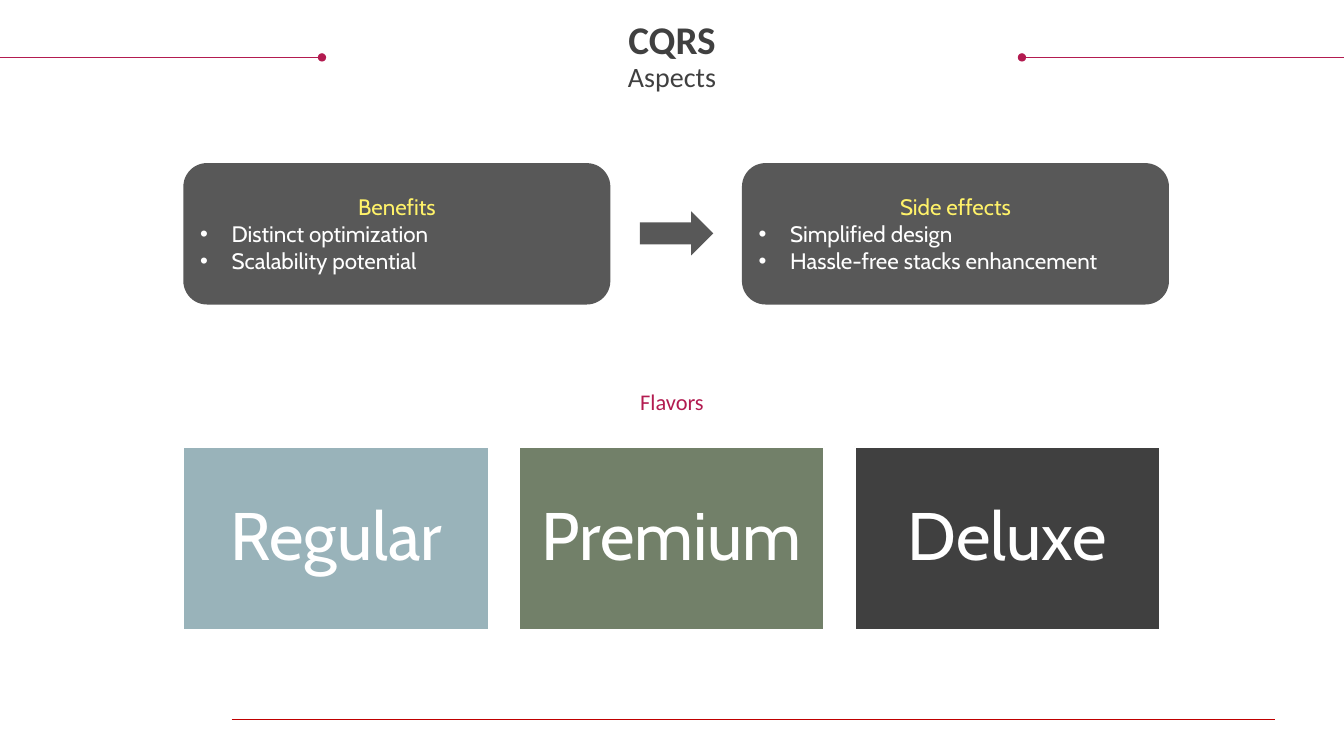
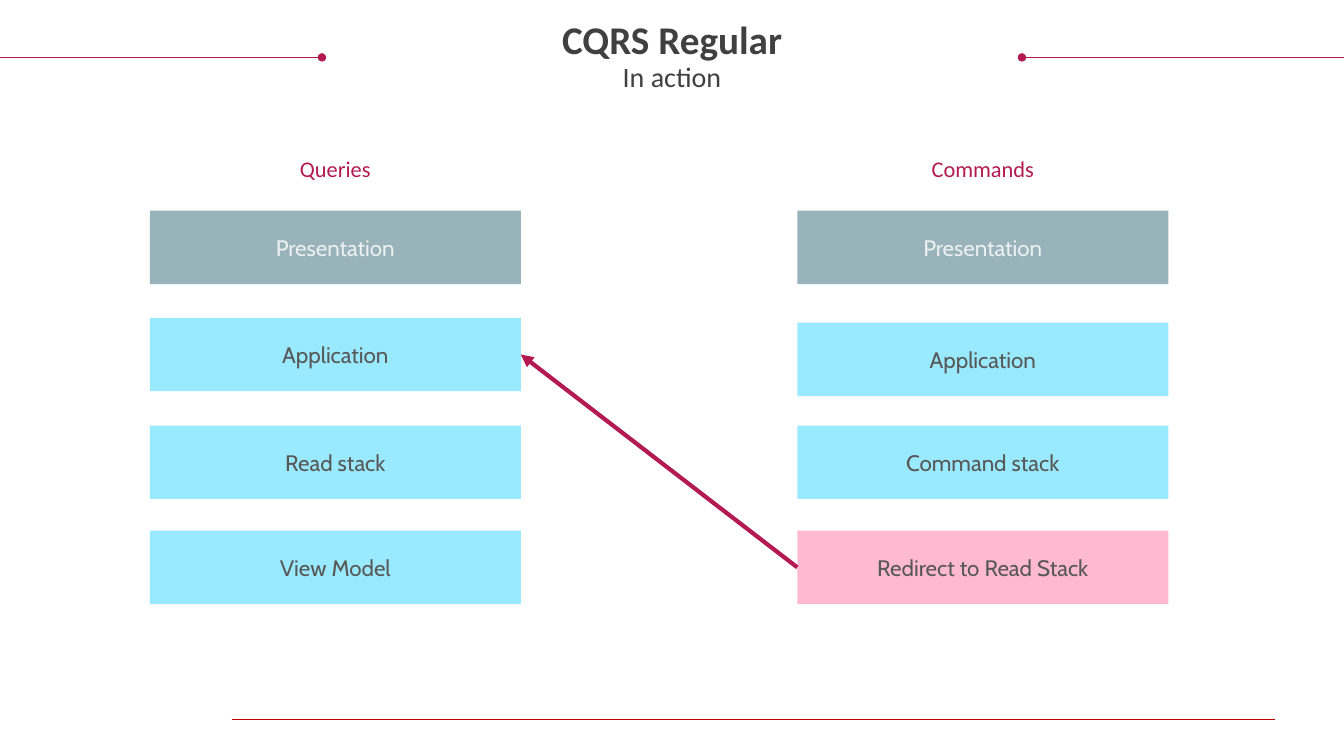
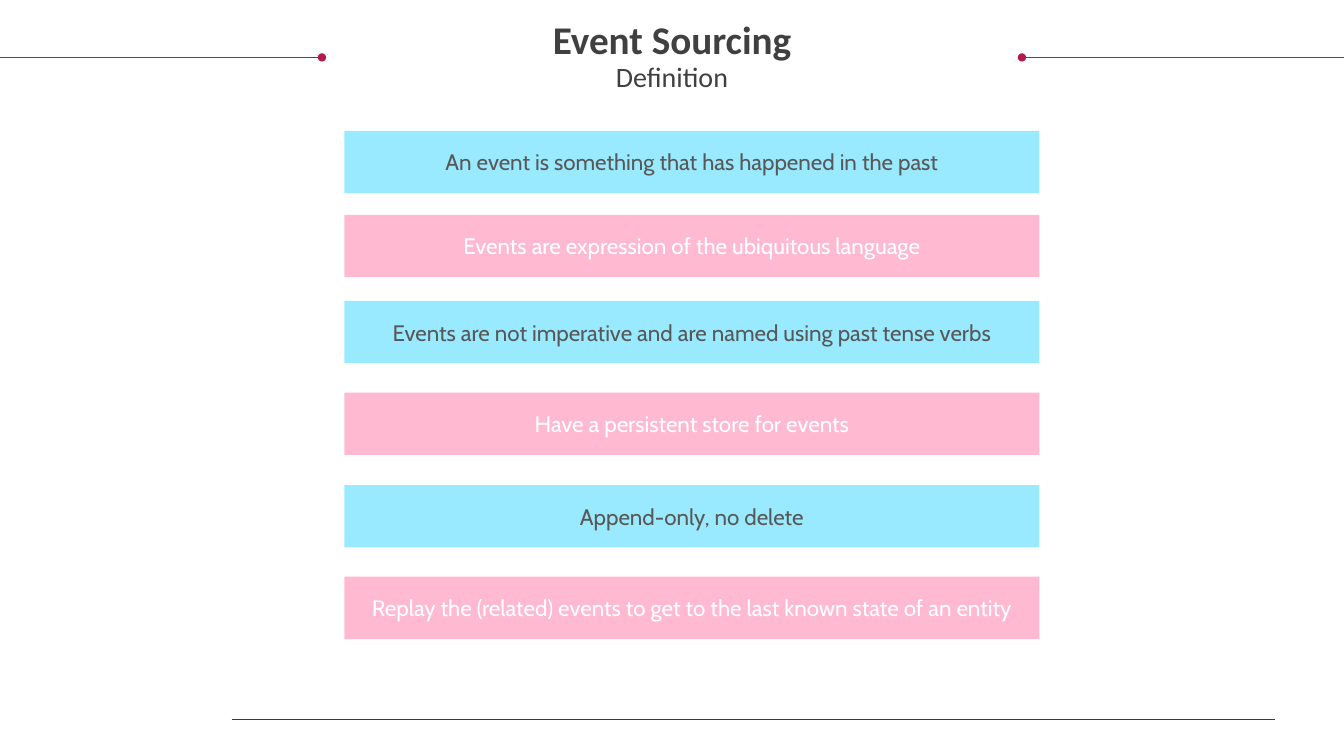
from dataclasses import dataclass

from lxml import etree
from pptx import Presentation
from pptx import util as u
from pptx.dml.color import RGBColor
from pptx.enum import shapes, text
from pptx.oxml import ns

Pt = u.Pt
SHAPE = shapes.MSO_SHAPE
CENTER = text.PP_ALIGN.CENTER
LEFT = text.PP_ALIGN.LEFT


@dataclass(frozen=True)
class Theme:
    heading_font: str = "Calibri"
    body_font: str = "Cabin"
    title_size: int = 28
    subtitle_size: int = 20
    body_size: int = 16
    card_size: int = 48
    accent: str = "B31B50"
    footer: str = "C00000"
    dark: str = "404040"
    gray: str = "585858"
    white: str = "FFFFFF"
    pale: str = "EBF0F1"
    yellow: str = "FFF269"
    slate: str = "99B3BA"
    olive: str = "728069"
    cyan: str = "99EAFF"
    pink: str = "FFB9D1"


THEME = Theme()


class Deck:
    """Holds the theme, the presentation and the slide being drawn."""

    def __init__(self, theme):
        self.theme = theme
        self.presentation = Presentation()
        self.presentation.slide_width = Pt(960)
        self.presentation.slide_height = Pt(540)
        self.slide = None

    def new_slide(self, title, subtitle):
        """Add a slide with the shared title, side rules and footer rule."""
        theme = self.theme
        self.slide = self.presentation.slides.add_slide(self.presentation.slide_layouts[6])
        self.line((165.5, 514), (911, 514), theme.footer)
        self.line((730, 41), (960, 41), theme.accent, head="oval")
        self.line((0, 41), (230, 41), theme.accent, tail="oval")
        paragraph = self.text_box(18, 15, 924, 52.5, f"{title}\v{subtitle}")
        paragraph.line_spacing = 0.9
        title_run, subtitle_run = paragraph.runs
        self.style(title_run, theme.heading_font, theme.title_size, theme.dark, bold=True)
        self.style(subtitle_run, theme.heading_font, theme.subtitle_size, theme.dark)

    def style(self, run, font, size, color, bold=False):
        run.font.name = font
        run.font.size = Pt(size)
        run.font.bold = bold
        run.font.color.rgb = RGBColor.from_string(color)

    def text_box(self, left, top, width, height, content):
        """Add a centred text box without margins and return its paragraph."""
        box = self.slide.shapes.add_textbox(Pt(left), Pt(top), Pt(width), Pt(height))
        frame = box.text_frame
        frame.text = content
        frame.word_wrap = True
        frame.margin_left = frame.margin_right = frame.margin_top = frame.margin_bottom = 0
        paragraph = frame.paragraphs[0]
        paragraph.alignment = CENTER
        return paragraph

    def heading(self, center, top, content):
        width = 120
        paragraph = self.text_box(center - width / 2, top, width, 19.5, content)
        self.style(paragraph.runs[0], self.theme.heading_font, self.theme.body_size,
                   self.theme.accent)

    def line(self, start, end, color, width=1, head=None, tail=None):
        connector = self.slide.shapes.add_connector(
            shapes.MSO_CONNECTOR.STRAIGHT, *(Pt(value) for value in (*start, *end)))
        connector.line.color.rgb = RGBColor.from_string(color)
        connector.line.width = Pt(width)
        outline = connector.line._get_or_add_ln()
        for tag, kind in (("a:headEnd", head), ("a:tailEnd", tail)):
            if kind:
                etree.SubElement(outline, ns.qn(tag), type=kind)
        etree.SubElement(connector.element.spPr, ns.qn("a:effectLst"))
        return connector

    def shape(self, kind, left, top, width, height, fill):
        shape = self.slide.shapes.add_shape(kind, Pt(left), Pt(top), Pt(width), Pt(height))
        shape.shadow.inherit = False
        shape.fill.solid()
        shape.fill.fore_color.rgb = RGBColor.from_string(fill)
        shape.line.fill.background()
        return shape

    def box(self, left, top, width, height, content, fill, color, size=None):
        """Add a rectangle with one centred line of text."""
        shape = self.shape(SHAPE.RECTANGLE, left, top, width, height, fill)
        shape.text_frame.text = content
        paragraph = shape.text_frame.paragraphs[0]
        paragraph.alignment = CENTER
        self.style(paragraph.runs[0], self.theme.body_font, size or self.theme.body_size, color)
        return shape

    def card(self, left, top, width, height, content, fill):
        """Add a white-edged box with large text."""
        shape = self.box(left, top, width, height, content, fill, self.theme.white,
                         self.theme.card_size)
        shape.line.color.rgb = RGBColor.from_string(self.theme.white)
        shape.line.width = Pt(1.5)
        frame = shape.text_frame
        frame.margin_left = frame.margin_right = Pt(14)
        frame.paragraphs[0].line_spacing = 0.9

    def list_panel(self, left, top, width, height, title, items):
        """Add a rounded panel with a centred title above bullets."""
        theme = self.theme
        shape = self.shape(SHAPE.ROUNDED_RECTANGLE, left, top, width, height, theme.gray)
        shape.text_frame.text = "\n".join([title, *items])
        for index, paragraph in enumerate(shape.text_frame.paragraphs):
            is_title = index == 0
            paragraph.alignment = CENTER if is_title else LEFT
            self.style(paragraph.runs[0], theme.body_font, theme.body_size,
                       theme.yellow if is_title else theme.white)
            if not is_title:
                self.bullet(paragraph)

    def bullet(self, paragraph):
        indent = Pt(22.5)
        properties = paragraph._p.get_or_add_pPr()
        properties.set("marL", str(indent))
        properties.set("indent", str(-indent))
        etree.SubElement(properties, ns.qn("a:buFont"), typeface="Arial")
        etree.SubElement(properties, ns.qn("a:buChar"), char="•")


def draw_aspects(deck):
    theme = deck.theme
    deck.new_slide("CQRS", "Aspects")
    deck.shape(SHAPE.RIGHT_ARROW, 457, 151, 52.5, 31.5, theme.gray)
    panels = [
        (131, "Benefits", ["Distinct optimization", "Scalability potential"]),
        (530, "Side effects", ["Simplified design", "Hassle-free stacks enhancement"]),
    ]
    for left, title, items in panels:
        deck.list_panel(left, 116.5, 305, 101, title, items)

    deck.heading(480, 277, "Flavors")
    flavors = [("Regular", theme.slate), ("Premium", theme.olive), ("Deluxe", theme.dark)]
    width, gap = 218, 21.75
    for index, (name, fill) in enumerate(flavors):
        deck.card(131 + index * (width + gap), 319, width, 131, name, fill)


def draw_regular(deck):
    theme = deck.theme
    deck.new_slide("CQRS Regular", "In action")
    presentation = ("Presentation", theme.slate, theme.pale)
    columns = [
        ("Queries", 107, [
            (150.5, *presentation),
            (227, "Application", theme.cyan, theme.gray),
            (304, "Read stack", theme.cyan, theme.gray),
            (379, "View Model", theme.cyan, theme.gray),
        ]),
        ("Commands", 569.5, [
            (150.5, *presentation),
            (230.5, "Application", theme.cyan, theme.gray),
            (304, "Command stack", theme.cyan, theme.gray),
            (379, "Redirect to Read Stack", theme.pink, theme.gray),
        ]),
    ]
    width, height = 265, 52.5
    layers = {}
    for title, left, rows in columns:
        deck.heading(left + width / 2, 111, title)
        for top, name, fill, color in rows:
            layers[title, name] = deck.box(left, top, width, height, name, fill, color)

    left_side, right_side = 1, 3
    redirect = deck.line((0, 0), (0, 0), theme.accent, width=3, tail="triangle")
    redirect.begin_connect(layers["Commands", "Redirect to Read Stack"], left_side)
    redirect.end_connect(layers["Queries", "Application"], right_side)


def draw_event_sourcing(deck):
    theme = deck.theme
    deck.new_slide("Event Sourcing", "Definition")
    statements = [
        (93.5, "An event is something that has happened in the past"),
        (153.5, "Events are expression of the ubiquitous language"),
        (215, "Events are not imperative and are named using past tense verbs"),
        (280.5, "Have a persistent store for events"),
        (346.5, "Append-only, no delete"),
        (412, "Replay the (related) events to get to the last known state of an entity"),
    ]
    schemes = [(theme.cyan, theme.gray), (theme.pink, theme.white)]
    for index, (top, statement) in enumerate(statements):
        deck.box(246, top, 496.5, 44.5, statement, *schemes[index % 2])


def main():
    deck = Deck(THEME)
    draw_aspects(deck)
    draw_regular(deck)
    draw_event_sourcing(deck)
    deck.presentation.save("out.pptx")


if __name__ == "__main__":
    main()
